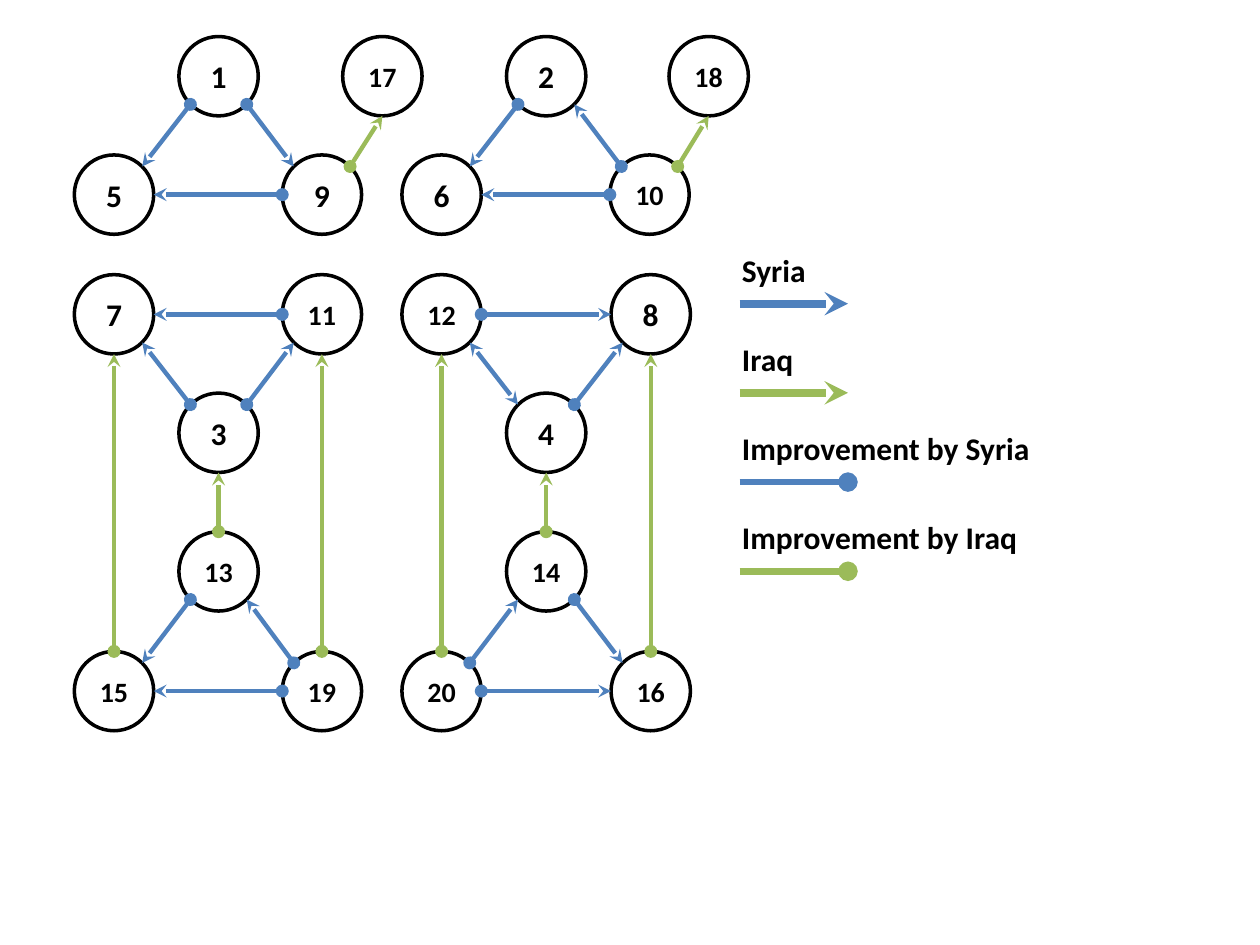
from lxml.etree import SubElement
from pptx import Presentation
from pptx.dml.color import RGBColor
from pptx.enum.shapes import MSO_CONNECTOR as Connector, MSO_SHAPE as Shape
from pptx.enum.text import MSO_ANCHOR as Anchor, MSO_AUTO_SIZE as AutoSize, PP_ALIGN as Align
from pptx.oxml.ns import qn
from pptx.util import Inches, Pt

COLORS = {"ink": "000000", "paper": "FFFFFF", "Syria": "4F81BD", "Iraq": "9BBB59"}
FONT = "Calibri"
DIAMETER = 0.63
CORNER = 0.71  # share of the radius at a diagonal point of the circle

# Node numbers by row: top edge -> {left edge: number}
ROWS = {
    0.29: {1.42: 1, 2.72: 17, 4.02: 2, 5.31: 18},
    1.23: {0.59: 5, 2.24: 9, 3.19: 6, 4.84: 10},
    2.18: {0.59: 7, 2.24: 11, 3.19: 12, 4.85: 8},
    3.12: {1.42: 3, 4.02: 4},
    4.22: {1.42: 13, 4.02: 14},
    5.17: {0.59: 15, 2.24: 19, 3.19: 20, 4.85: 16},
}
# Moves (from, to) of each player; an oval marks an improvement
MOVES = {
    "Syria": [(1, 5), (1, 9), (9, 5), (2, 6), (10, 2), (10, 6), (3, 7), (3, 11), (11, 7),
              (13, 15), (19, 13), (19, 15), (4, 12), (4, 8), (12, 8), (20, 14), (14, 16),
              (20, 16)],
    "Iraq": [(9, 17), (10, 18), (13, 3), (19, 11), (15, 7), (14, 4), (16, 8), (20, 12)],
}
TWO_WAY = {(4, 12)}
# Label, player, line width, end mark
LEGEND = [
    ("Syria", "Syria", 4.5, "stealth"),
    ("Iraq", "Iraq", 4.5, "stealth"),
    ("Improvement by Syria", "Syria", 3.75, "oval"),
    ("Improvement by Iraq", "Iraq", 3.75, "oval"),
]
LEGEND_LEFT, LEGEND_TOP, LEGEND_STEP = 5.79, 1.94, 0.708


def color(name):
    return RGBColor.from_string(COLORS[name])


def write(shape, text, size, align, **frame_format):
    frame = shape.text_frame
    for name, value in frame_format.items():
        setattr(frame, name, value)
    para = frame.paragraphs[0]
    para.alignment = align
    span = para.add_run()
    span.text = text
    for name, value in {"name": FONT, "size": Pt(size), "bold": True}.items():
        setattr(span.font, name, value)
    span.font.color.rgb = color("ink")


def add_node(page, number, left, top):
    node = page.shapes.add_shape(Shape.OVAL, Inches(left), Inches(top),
                                 Inches(DIAMETER), Inches(DIAMETER))
    node.shadow.inherit = False
    node.fill.solid()
    node.fill.fore_color.rgb = color("paper")
    node.line.color.rgb = color("ink")
    node.line.width = Pt(2)
    write(node, str(number), 18 if number < 10 else 16, Align.CENTER,
          vertical_anchor=Anchor.MIDDLE, word_wrap=False, margin_left=0, margin_right=0)


def add_line(page, start, end, player, width, head, tail):
    line = page.shapes.add_connector(Connector.STRAIGHT, *map(Inches, start + end))
    line.line.color.rgb = color(player)
    line.line.width = Pt(width)
    outline = line.line._get_or_add_ln()
    for tag, mark in (("a:headEnd", head), ("a:tailEnd", tail)):
        if mark:
            SubElement(outline, qn(tag), type=mark)
    SubElement(line._element.spPr, qn("a:effectLst"))


def rim_point(center, dx, dy):
    """Point of a circle facing one of eight directions."""
    reach = DIAMETER / 2 * (CORNER if dx and dy else 1)
    return center[0] + dx * reach, center[1] + dy * reach


def direction(a, b):
    gap = b - a
    return 0 if abs(gap) < 0.05 else (1 if gap > 0 else -1)


deck = Presentation()
deck.slide_width, deck.slide_height = Inches(10), Inches(7.5)
page = deck.slides.add_slide(deck.slide_layouts[6])

# Numbered nodes
centers = {}
for top, row in ROWS.items():
    for left, number in row.items():
        add_node(page, number, left, top)
        centers[number] = (left + DIAMETER / 2, top + DIAMETER / 2)

# Moves between nodes; those of Iraq always arrive from below
for player, moves in MOVES.items():
    for source, target in moves:
        a, b = centers[source], centers[target]
        dx, dy = direction(a[0], b[0]), direction(a[1], b[1])
        arrival = (0, 1) if player == "Iraq" else (-dx, -dy)
        head = "stealth" if (source, target) in TWO_WAY else "oval"
        add_line(page, rim_point(a, dx, dy), rim_point(b, *arrival),
                 player, 2.5, head, "stealth")

# Legend
for index, (label, player, width, mark) in enumerate(LEGEND):
    top = LEGEND_TOP + index * LEGEND_STEP
    line_y = top + 0.47
    add_line(page, (LEGEND_LEFT + 0.08, line_y), (LEGEND_LEFT + 0.94, line_y),
             player, width, None, mark)
    box = page.shapes.add_textbox(Inches(LEGEND_LEFT), Inches(top), Inches(2.5), Inches(0.4))
    write(box, label, 18, Align.LEFT, word_wrap=True, auto_size=AutoSize.SHAPE_TO_FIT_TEXT)

deck.save("out.pptx")
